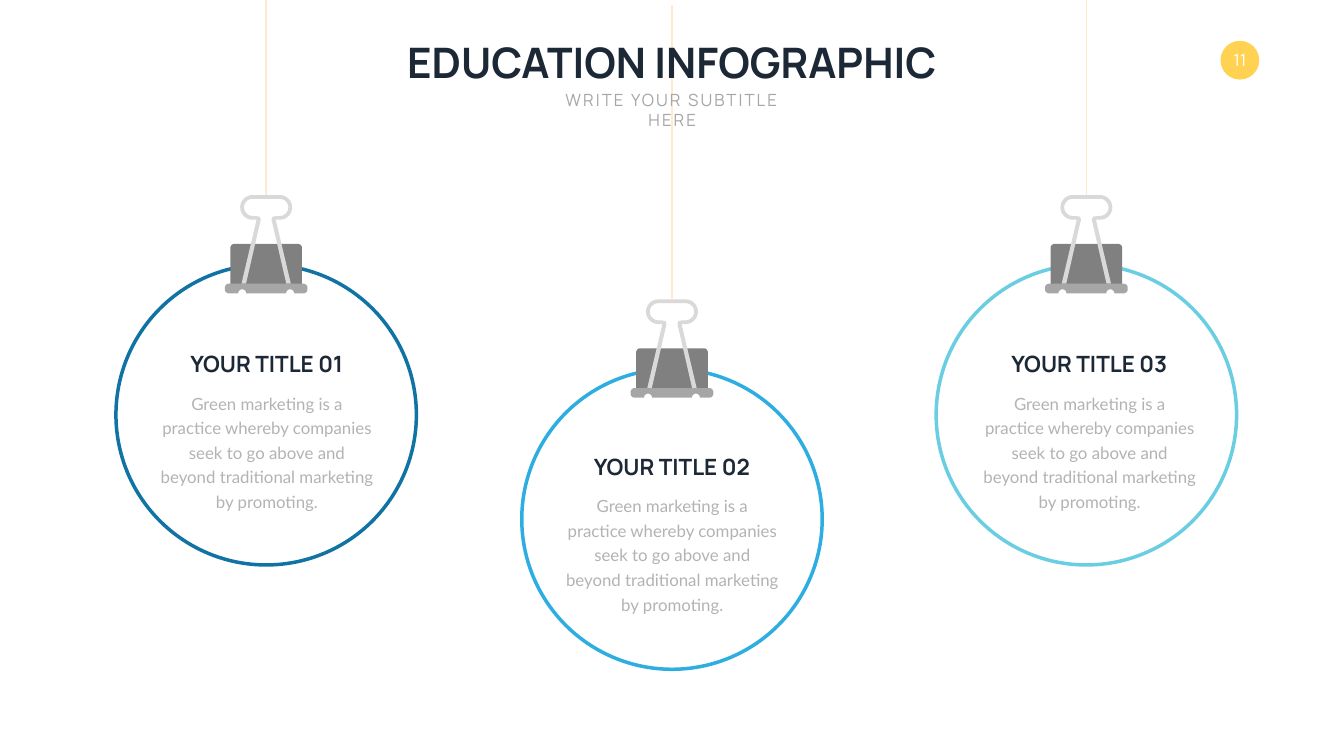
"""Build the education infographic slide with three hanging circles."""
import math

import pptx
import pptx.dml.color
import pptx.enum.shapes
import pptx.enum.text
import pptx.oxml.ns
import pptx.util
from lxml import etree

UNIT = 9144
HEADING_FONT, BODY_FONT = "Manrope", "Lato"
NAVY, GREY, PALE_GREY, WHITE = "1C2835", "A6A6A6", "B3B3B3", "FFFFFF"
BODY = (
    "Green marketing is a practice whereby companies seek to go above "
    "and beyond traditional marketing by promoting."
)
RADIUS = 298
CLIP_RISE = 138
ITEMS = [
    ("YOUR TITLE 01", 230, 525, 0, "1073A3", 529, 690),
    ("YOUR TITLE 02", 1035, 732, 9, "2DADE0", 1333, 894),
    ("YOUR TITLE 03", 1857, 525, 0, "6ACEE3", 2161, 690),
]


def px(length):
    return pptx.util.Emu(round(length * UNIT))


def color(code):
    return pptx.dml.color.RGBColor.from_string(code)


def arc(x, y, radius, start, end, steps=16):
    angles = [math.radians(start + (end - start) * i / steps) for i in range(steps + 1)]
    return [(x + radius * math.cos(a), y + radius * math.sin(a)) for a in angles]


def mirrored(half):
    return half + [(-x, y) for x, y in reversed(half)]


CLIP_PARTS = [
    (mirrored(arc(63, 105, 8, -90, 0) + [(71, 176)]), "808080"),
    (
        mirrored(
            arc(27, 24.5, 24.5, -90, 90)
            + [(19, 49), (49, 176), (40, 176), (12, 54), (11, 51), (11, 47), (13, 43), (19, 42)]
            + arc(27, 24.5, 17, 90, -90)
        ),
        "D9D9D9",
    ),
    (
        mirrored(
            arc(74, 184, 8, -90, 0) + arc(74, 187, 8, 0, 90) + arc(47.5, 195, 8, 0, -180)
        ),
        GREY,
    ),
]


class Canvas:
    """Hold the text style and the current slide, and draw each kind of element."""

    def __init__(self, page, font):
        self.page = page
        self.font = font

    def fill_text(self, shape, text, size, ink, font=None, bold=False, wrap=False, middle=False):
        frame = shape.text_frame
        frame.text = text
        frame.auto_size = pptx.enum.text.MSO_AUTO_SIZE.NONE
        frame.word_wrap = wrap
        anchor = pptx.enum.text.MSO_ANCHOR
        frame.vertical_anchor = anchor.MIDDLE if middle else anchor.TOP
        para = frame.paragraphs[0]
        para.alignment = pptx.enum.text.PP_ALIGN.CENTER
        para.space_before = pptx.util.Pt(0)
        span = para.runs[0]
        span.font.name = font or self.font
        span.font.size = pptx.util.Pt(size)
        span.font.bold = bold
        span.font.color.rgb = color(ink)
        return para

    def placeholder(self, shape, area, text, size, ink, **style):
        shape.left, shape.top, shape.width, shape.height = map(px, area)
        self.page.shapes._spTree.append(shape._element)
        return self.fill_text(shape, text, size, ink, **style)

    def text(self, area, text, size, ink, **style):
        box = self.page.shapes.add_textbox(*map(px, area))
        return self.fill_text(box, text, size, ink, **style)

    def circle(self, left, top, diameter, fill, line=None):
        oval = pptx.enum.shapes.MSO_SHAPE.OVAL
        shape = self.page.shapes.add_shape(oval, *map(px, (left, top, diameter, diameter)))
        self.paint(shape, fill)
        if line:
            shape.line.color.rgb = color(line)
            shape.line.width = pptx.util.Pt(5)
        return shape

    def paint(self, shape, fill):
        shape.shadow.inherit = False
        shape.fill.solid()
        shape.fill.fore_color.rgb = color(fill)
        shape.line.fill.background()

    def wire(self, x, top, bottom):
        straight = pptx.enum.shapes.MSO_CONNECTOR.STRAIGHT
        line = self.page.shapes.add_connector(straight, *map(px, (x, bottom, x, top)))
        line.line.color.rgb = color("FFE9CF")
        line.line.width = pptx.util.Pt(2)
        etree.SubElement(line._element.spPr, pptx.oxml.ns.qn("a:effectLst"))

    def clip(self, x, y):
        for outline, fill in CLIP_PARTS:
            points = [(px(x + dx), px(y + dy)) for dx, dy in outline]
            builder = self.page.shapes.build_freeform(*points[0])
            builder.add_line_segments(points[1:], close=True)
            self.paint(builder.convert_to_shape(), fill)


def main():
    deck = pptx.Presentation()
    deck.slide_width, deck.slide_height = px(2666), px(1500)
    page = deck.slides.add_slide(deck.slide_layouts[0])
    heading, subtitle = page.placeholders
    canvas = Canvas(page, HEADING_FONT)

    badge = canvas.circle(2421, 81, 77, "FFD252")
    canvas.fill_text(badge, "11", 24, WHITE, middle=True)

    for _, left, top, wire_top, *_ in ITEMS:
        canvas.wire(left + RADIUS, wire_top, top - CLIP_RISE)
    for title, left, top, _, line, center, text_top in ITEMS:
        canvas.circle(left, top, 2 * RADIUS, WHITE, line)
        canvas.clip(left + RADIUS, top - CLIP_RISE)
        canvas.text((center - 165, text_top, 330, 64), title, 32, NAVY, bold=True, middle=True)
        body_area = (center - 221, text_top + 77, 443, 250)
        para = canvas.text(body_area, BODY, 24, PALE_GREY, font=BODY_FONT, wrap=True)
        para.line_spacing = pptx.util.Pt(35)

    canvas.placeholder(
        heading, (773, 67, 1119, 111), "EDUCATION INFOGRAPHIC", 60, NAVY, bold=True
    )
    para = canvas.placeholder(
        subtitle, (1062, 172, 543, 50), "WRITE YOUR SUBTITLE HERE", 24, GREY, wrap=True
    )
    para.runs[0]._r.get_or_add_rPr().set("spc", "300")
    deck.save("out.pptx")


if __name__ == "__main__":
    main()
